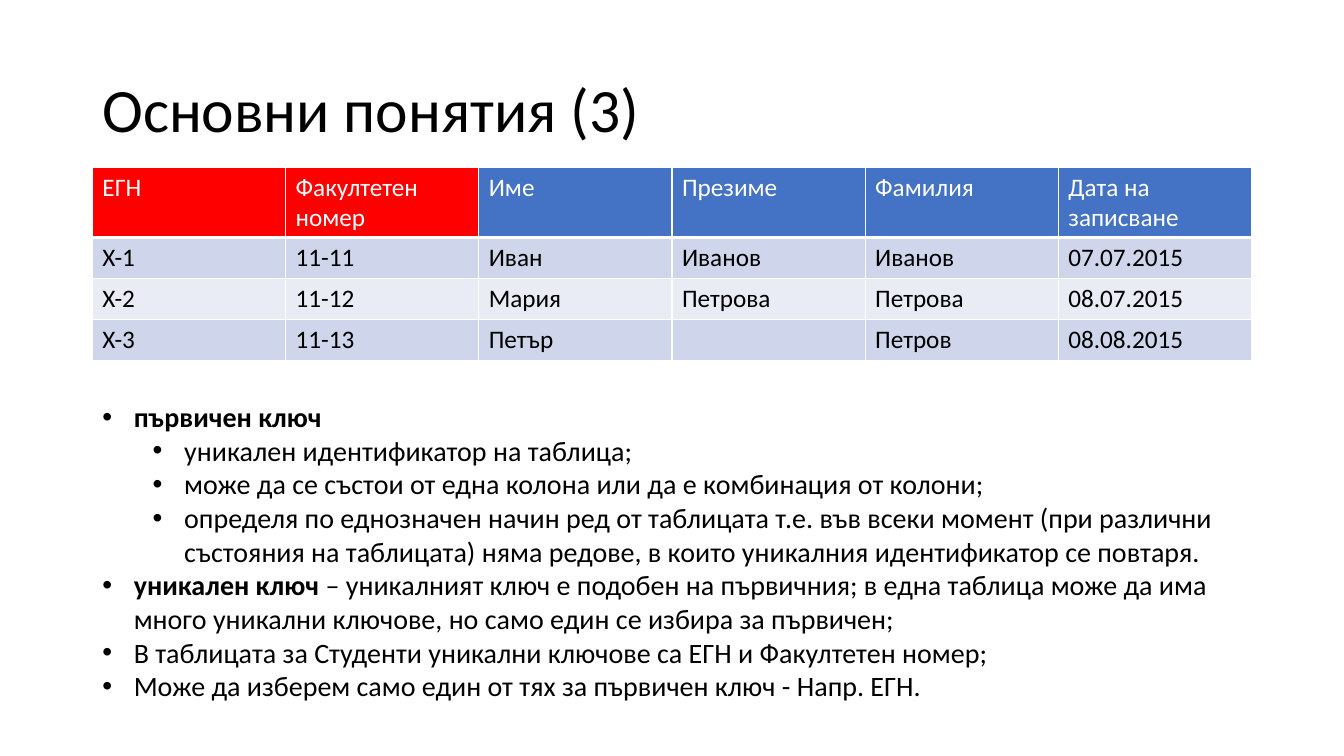
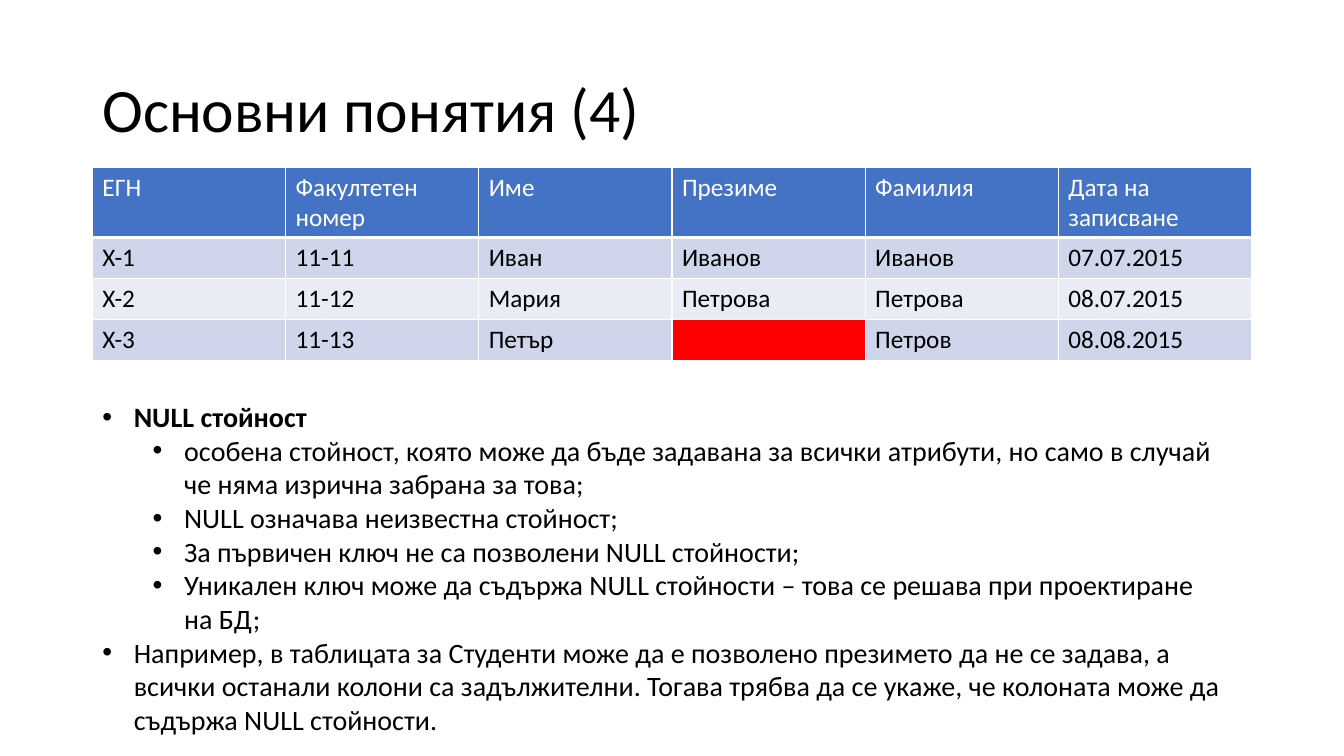
import lxml.etree
import pptx
import pptx.dml.color
import pptx.enum.text
import pptx.oxml.ns
import pptx.util

PX = 9525
FONT = "Calibri"
BLACK, WHITE, RED = "000000", "FFFFFF", "FF0000"
HEADER_FILL = "4472C4"
BAND_FILLS = ["CFD5EA", "E9EBF5"]

TITLE_BOX = (88, 38, 1104, 139)
TABLE_BOX = (88, 159, 1104, 184)
NOTES_BOX = (88, 376, 1086, 333)
HEADER_HEIGHT = 67
HANGING, LEVEL_STEP = 30, 48

STUDENTS = [
    ["ЕГН", "Факултетен номер", "Име", "Презиме", "Фамилия", "Дата на записване"],
    ["X-1", "11-11", "Иван", "Иванов", "Иванов", "07.07.2015"],
    ["X-2", "11-12", "Мария", "Петрова", "Петрова", "08.07.2015"],
    ["X-3", "11-13", "Петър", "", "Петров", "08.08.2015"],
]

# Each note is (level, bold lead, plain text); each marked cell is (row, column).
PAGES = [
    {
        "title": "Основни понятия (3)",
        "marked": [(0, 0), (0, 1)],
        "notes": [
            (0, "първичен ключ", ""),
            (1, "", "уникален идентификатор на таблица;"),
            (1, "", "може да се състои от една колона или да е комбинация от колони;"),
            (1, "", "определя по еднозначен начин ред от таблицата т.е. във всеки момент "
                    "(при различни състояния на таблицата) няма редове, в които уникалния "
                    "идентификатор се повтаря."),
            (0, "уникален ключ", " – уникалният ключ е подобен на първичния; в една таблица "
                                 "може да има много уникални ключове, но само един се избира "
                                 "за първичен;"),
            (0, "", "В таблицата за Студенти уникални ключове са ЕГН и Факултетен номер;"),
            (0, "", "Може да изберем само един от тях за първичен ключ - Напр. ЕГН."),
        ],
    },
    {
        "title": "Основни понятия (4)",
        "marked": [(3, 3)],
        "notes": [
            (0, "NULL стойност", ""),
            (1, "", "особена стойност, която може да бъде задавана за всички атрибути, но "
                    "само в случай че няма изрична забрана за това;"),
            (1, "", "NULL означава неизвестна стойност;"),
            (1, "", "За първичен ключ не са позволени NULL стойности;"),
            (1, "", "Уникален ключ може да съдържа NULL стойности – това се решава при "
                    "проектиране на БД;"),
            (0, "", "Например, в таблицата за Студенти може да е позволено презимето да не "
                    "се задава, а всички останали колони са задължителни. Тогава трябва да "
                    "се укаже, че колоната може да съдържа NULL стойности."),
        ],
    },
]


def px(*lengths):
    return [pptx.util.Emu(length * PX) for length in lengths]


def color(value):
    return pptx.dml.color.RGBColor.from_string(value)


def child(parent, tag, **attributes):
    return lxml.etree.SubElement(parent, pptx.oxml.ns.qn(tag), attributes)


def style(font, size, value, bold=False):
    font.name, font.size, font.bold = FONT, pptx.util.Pt(size), bold
    font.color.rgb = color(value)


def add_text_frame(page, box):
    frame = page.shapes.add_textbox(*px(*box)).text_frame
    frame.word_wrap = True
    return frame


def add_title(page, box, text):
    frame = add_text_frame(page, box)
    frame.vertical_anchor = pptx.enum.text.MSO_ANCHOR.MIDDLE
    frame.text = text
    para = frame.paragraphs[0]
    para.line_spacing = 0.9
    style(para.runs[0].font, 44, BLACK)


def add_borders(cell, bottom):
    """Draws white cell edges; bottom is the width of the lower one in points."""
    properties = cell._tc.get_or_add_tcPr()
    for side, width in (("L", 1), ("R", 1), ("T", 1), ("B", bottom)):
        line = child(properties, f"a:ln{side}", w=str(pptx.util.Pt(width)))
        child(child(line, "a:solidFill"), "a:srgbClr", val=WHITE)


def add_students(page, box, marked):
    left, top, width, height = box
    table = page.shapes.add_table(len(STUDENTS), len(STUDENTS[0]), *px(*box)).table
    for column in table.columns:
        column.width = px(width // len(STUDENTS[0]))[0]
    row_height = (height - HEADER_HEIGHT) // (len(STUDENTS) - 1)
    for i, values in enumerate(STUDENTS):
        header = i == 0
        table.rows[i].height = px(HEADER_HEIGHT if header else row_height)[0]
        row_fill = HEADER_FILL if header else BAND_FILLS[(i - 1) % 2]
        for j, value in enumerate(values):
            cell = table.cell(i, j)
            add_borders(cell, 3 if header else 1)
            cell.fill.solid()
            cell.fill.fore_color.rgb = color(RED if (i, j) in marked else row_fill)
            cell.text_frame.text = value
            style(cell.text_frame.paragraphs[0].font, 18, WHITE if header else BLACK)
            for span in cell.text_frame.paragraphs[0].runs:
                style(span.font, 18, WHITE if header else BLACK)


def add_bullet(para, level):
    para.level = level
    properties = para._p.get_or_add_pPr()
    margin, indent = px(HANGING + level * LEVEL_STEP, -HANGING)
    properties.set("marL", str(margin))
    properties.set("indent", str(indent))
    child(properties, "a:buFont", typeface="Arial")
    child(properties, "a:buChar", char="•")


def add_notes(page, box, notes):
    frame = add_text_frame(page, box)
    frame.auto_size = pptx.enum.text.MSO_AUTO_SIZE.SHAPE_TO_FIT_TEXT
    for i, (level, lead, text) in enumerate(notes):
        para = frame.add_paragraph() if i else frame.paragraphs[0]
        add_bullet(para, level)
        for words, bold in ((lead, True), (text, False)):
            if words:
                span = para.add_run()
                span.text = words
                style(span.font, 20, BLACK, bold)


def main():
    deck = pptx.Presentation()
    deck.slide_width, deck.slide_height = px(1280, 720)
    for content in PAGES:
        page = deck.slides.add_slide(deck.slide_layouts[6])
        add_title(page, TITLE_BOX, content["title"])
        add_students(page, TABLE_BOX, content["marked"])
        add_notes(page, NOTES_BOX, content["notes"])
    deck.save("out.pptx")


if __name__ == "__main__":
    main()
